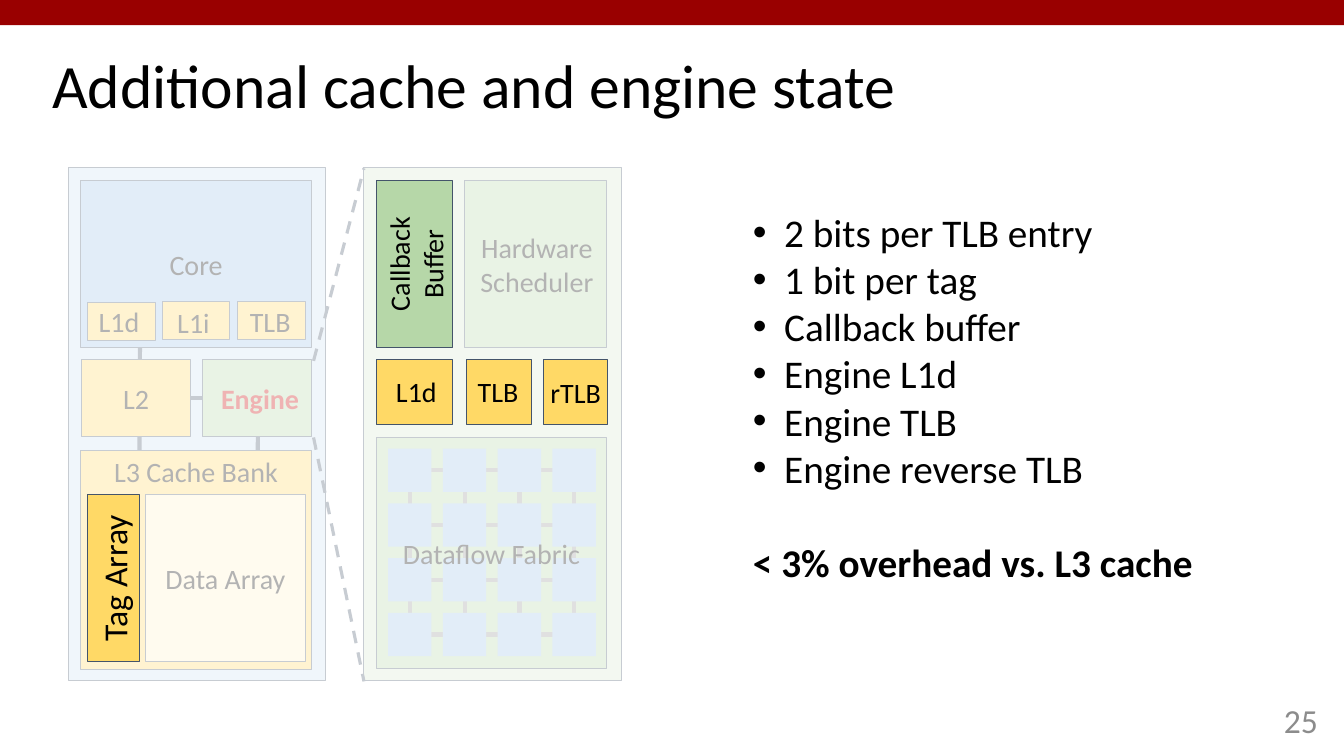
from dataclasses import dataclass
from typing import Any, NamedTuple, Optional

import lxml.etree
import pptx
import pptx.dml.color
import pptx.enum.dml
import pptx.enum.shapes
import pptx.enum.text
import pptx.oxml.ns
import pptx.util

Inches = pptx.util.Inches
Align = pptx.enum.text.PP_ALIGN
Anchor = pptx.enum.text.MSO_ANCHOR
AutoSize = pptx.enum.text.MSO_AUTO_SIZE
qn = pptx.oxml.ns.qn


@dataclass(frozen=True)
class Theme:
    font: str = "Calibri"
    banner: str = "990000"
    ink: str = "000000"
    page: str = "8C8C8C"
    accent: str = "CC0000"
    edge: str = "44546A"
    wire: str = "999999"
    veil: str = "FFFFFF"
    tile: str = "CFE2F3"
    core: str = "9FC5E8"
    panel: str = "D9EAD3"
    engine: str = "B6D7A8"
    cache: str = "FFD966"
    data: str = "FFF2CC"
    title_pt: int = 44
    list_pt: int = 28
    large_pt: int = 24
    label_pt: int = 20
    thin: float = 0.75
    dash: float = 2.25
    thick: float = 3


T = Theme()


class Box(NamedTuple):
    x: float
    y: float
    w: float
    h: float
    fill: Optional[str] = None
    edge: bool = True
    text: str = ""


class Label(NamedTuple):
    x: float
    y: float
    w: float
    h: float
    text: str
    size: int = T.label_pt
    color: str = T.ink
    bold: bool = False
    align: Any = Align.CENTER
    anchor: Any = Anchor.MIDDLE
    inset: float = 0.1  # top and bottom margin
    rotation: int = 0
    grow: bool = False


def rgb(value: str) -> pptx.dml.color.RGBColor:
    return pptx.dml.color.RGBColor.from_string(value)


def assign(target: Any, values: dict) -> None:
    for name, value in values.items():
        setattr(target, name, value)


def add_run(p: Any, text: str, size: int, color: str = T.ink, bold: bool = False) -> None:
    r = p.add_run()
    r.text = text
    assign(r.font, {"name": T.font, "size": pptx.util.Pt(size), "bold": bold})
    r.font.color.rgb = rgb(color)


def set_frame(tf: Any, anchor: Any, inset: float) -> None:
    assign(tf, {"word_wrap": True, "vertical_anchor": anchor,
                "margin_left": Inches(0.1), "margin_right": Inches(0.1),
                "margin_top": Inches(inset), "margin_bottom": Inches(inset)})


def draw_box(shapes: Any, b: Box) -> Any:
    sp = shapes.add_shape(pptx.enum.shapes.MSO_SHAPE.RECTANGLE,
                          *map(Inches, (b.x, b.y, b.w, b.h)))
    sp.shadow.inherit = False
    if b.fill:
        sp.fill.solid()
        sp.fill.fore_color.rgb = rgb(b.fill)
    else:
        sp.fill.background()
    if b.edge:
        sp.line.color.rgb = rgb(T.edge)
        sp.line.width = pptx.util.Pt(T.thin)
    else:
        sp.line.fill.background()
    if b.text:
        set_frame(sp.text_frame, Anchor.MIDDLE, 0.1)
        p = sp.text_frame.paragraphs[0]
        p.alignment = Align.CENTER
        add_run(p, b.text, T.label_pt)
    return sp


def draw_label(shapes: Any, t: Label) -> Any:
    sp = shapes.add_textbox(*map(Inches, (t.x, t.y, t.w, t.h)))
    sp.rotation = t.rotation
    set_frame(sp.text_frame, t.anchor, t.inset)
    if t.grow:
        sp.text_frame.auto_size = AutoSize.SHAPE_TO_FIT_TEXT
    p = sp.text_frame.paragraphs[0]
    p.alignment = t.align
    add_run(p, t.text, t.size, t.color, t.bold)
    return sp


def draw_all(shapes: Any, items: list) -> None:
    for item in items:
        (draw_box if isinstance(item, Box) else draw_label)(shapes, item)


def draw_line(shapes: Any, x1: float, y1: float, x2: float, y2: float,
              color: str = T.edge, width: float = T.thick, dashed: bool = False) -> Any:
    cx = shapes.add_connector(pptx.enum.shapes.MSO_CONNECTOR.STRAIGHT,
                              *map(Inches, (x1, y1, x2, y2)))
    cx.line.color.rgb = rgb(color)
    cx.line.width = pptx.util.Pt(width)
    if dashed:
        cx.line.dash_style = pptx.enum.dml.MSO_LINE.DASH
    lxml.etree.SubElement(cx._element.spPr, qn("a:effectLst"))
    return cx


def draw_fabric(shapes: Any) -> None:
    """Engine panel with its 4 by 4 mesh of processing cells."""
    draw_all(shapes, [Box(3.61, 1.66, 2.55, 5.09, T.panel),
                      Box(3.73, 4.34, 2.29, 2.29, T.engine, edge=False)])
    n, left, top, span, size = 4, 3.85, 4.45, 2.06, 0.43
    steps = [i * (span - size) / (n - 1) for i in range(n)]
    mid = size / 2
    rows = [draw_line(shapes, left, top + d + mid, left + span, top + d + mid, T.wire)
            for d in steps]
    cols = [draw_line(shapes, left + d + mid, top + span, left + d + mid, top, T.wire)
            for d in steps]
    cells = [[draw_box(shapes, Box(left + dx, top + dy, size, size, T.core, edge=False))
              for dx in steps] for dy in steps]
    for i in range(n):
        rows[i].begin_connect(cells[i][0], 1)
        rows[i].end_connect(cells[i][-1], 3)
        cols[i].begin_connect(cells[-1][i], 2)
        cols[i].end_connect(cells[0][i], 0)
    draw_box(shapes, Box(3.73, 4.34, 2.29, 2.29, text="Dataflow Fabric"))


def draw_tile(shapes: Any) -> None:
    """Core, private caches, engine and L3 bank."""
    draw_box(shapes, Box(0.68, 1.66, 2.55, 5.09, T.tile))
    draw_line(shapes, 2.56, 3.7, 2.55, 6.49)
    draw_line(shapes, 1.39, 2.85, 1.38, 5.64)
    draw_all(shapes, [Box(0.8, 4.47, 2.29, 2.17, T.cache),
                      Box(1.44, 4.91, 1.59, 1.65, T.data, text="Data Array")])
    l2 = draw_box(shapes, Box(0.81, 3.57, 1.08, 0.76, T.cache, text="L2"))
    engine = draw_box(shapes, Box(2.01, 3.57, 1.08, 0.76, T.engine))
    bus = draw_line(shapes, 1.89, 3.95, 2.01, 3.95)
    bus.begin_connect(l2, 3)
    bus.end_connect(engine, 1)
    draw_all(shapes, [
        Label(0.78, 4.39, 2.33, 0.57, "L3 Cache Bank"),
        Label(1.9, 3.74, 1.36, 0.44, "Engine", color=T.accent, bold=True,
              anchor=Anchor.TOP, inset=0.05, grow=True)])
    # Zoom lines from engine to its panel
    draw_line(shapes, 3.11, 4.34, 3.61, 6.76, width=T.dash, dashed=True)
    draw_line(shapes, 3.11, 3.58, 3.61, 1.67, width=T.dash, dashed=True)
    # Core group
    core = shapes.add_group_shape().shapes
    draw_box(core, Box(0.8, 1.79, 2.29, 1.66, T.core, text="Core"))
    draw_all(core, [Box(x, y, 0.67, 0.38, T.cache)
                    for x, y in ((0.87, 3), (1.61, 2.99), (2.36, 2.99))])
    for x, y, name in ((0.88, 2.97, "L1d"), (1.66, 2.98, "L1i"), (2.38, 2.97, "TLB")):
        draw_label(core, Label(x, y, 0.83, 0.44, name, align=Align.LEFT,
                               anchor=Anchor.TOP, inset=0.05, grow=True))


def draw_summary(shapes: Any) -> None:
    """Bulleted state list and its conclusion."""
    items = ["2 bits per TLB entry", "1 bit per tag", "Callback buffer",
             "Engine L1d", "Engine TLB", "Engine reverse TLB"]
    tf = shapes.add_textbox(*map(Inches, (7.37, 2.02, 5.1, 3.87))).text_frame
    set_frame(tf, Anchor.TOP, 0.05)
    tf.auto_size = AutoSize.SHAPE_TO_FIT_TEXT
    for i, item in enumerate(items):
        p = tf.add_paragraph() if i else tf.paragraphs[0]
        add_run(p, item, T.list_pt)
        pPr = p._p.get_or_add_pPr()
        pPr.set("marL", str(Inches(0.31)))
        pPr.set("indent", str(-Inches(0.31)))
        lxml.etree.SubElement(pPr, qn("a:buFont")).set("typeface", "Arial")
        lxml.etree.SubElement(pPr, qn("a:buChar")).set("char", "•")
    p = tf.add_paragraph()
    p.space_before = pptx.util.Pt(34)
    add_run(p, "< 3% overhead vs. L3 cache", T.list_pt, bold=True)


def main() -> None:
    prs = pptx.Presentation()
    assign(prs, {"slide_width": Inches(13.33), "slide_height": Inches(7.5)})
    s = prs.slides.add_slide(prs.slide_layouts[6]).shapes

    # Banner, title and page number
    draw_box(s, Box(0, 0, 13.33, 0.25, T.banner, edge=False))
    title = draw_label(s, Label(0.42, 0.45, 12.5, 0.85, "Additional cache and engine state",
                                T.title_pt, align=Align.LEFT, inset=0.05))
    title.text_frame.paragraphs[0].line_spacing = 0.9
    draw_label(s, Label(12.09, 6.94, 1.08, 0.4, "25", T.large_pt, T.page,
                        align=Align.RIGHT, inset=0.05))

    # Dimmed architecture under a translucent veil
    draw_fabric(s)
    draw_tile(s)
    draw_all(s, [Box(4.61, 1.79, 1.41, 1.66, T.engine),
                 Label(4.35, 2.31, 1.95, 0.63, "Hardware Scheduler")])
    veil = draw_box(s, Box(0.25, 1.38, 6.22, 5.57, T.veil, edge=False))
    color = veil._element.spPr.find(".//" + qn("a:srgbClr"))
    lxml.etree.SubElement(color, qn("a:alpha")).set("val", "70000")

    # Highlighted state
    draw_all(s, [
        Box(3.73, 1.79, 0.76, 1.66, T.engine),
        Label(3.29, 2.24, 1.66, 0.76, "Callback Buffer", rotation=270),
        Box(0.87, 4.91, 0.51, 1.65, T.cache),
        Label(0.3, 5.48, 1.66, 0.51, "Tag Array", T.large_pt, rotation=270),
        Box(3.73, 3.57, 0.76, 0.64, T.cache),
        Label(3.68, 3.57, 0.9, 0.63, "L1d"),
        Box(4.63, 3.57, 0.64, 0.64, T.cache),
        Box(5.39, 3.57, 0.64, 0.64, T.cache),
        Label(5.26, 3.58, 0.9, 0.63, "rTLB"),
        Label(4.49, 3.57, 0.9, 0.63, "TLB")])
    draw_summary(s)
    prs.save("out.pptx")


if __name__ == "__main__":
    main()
